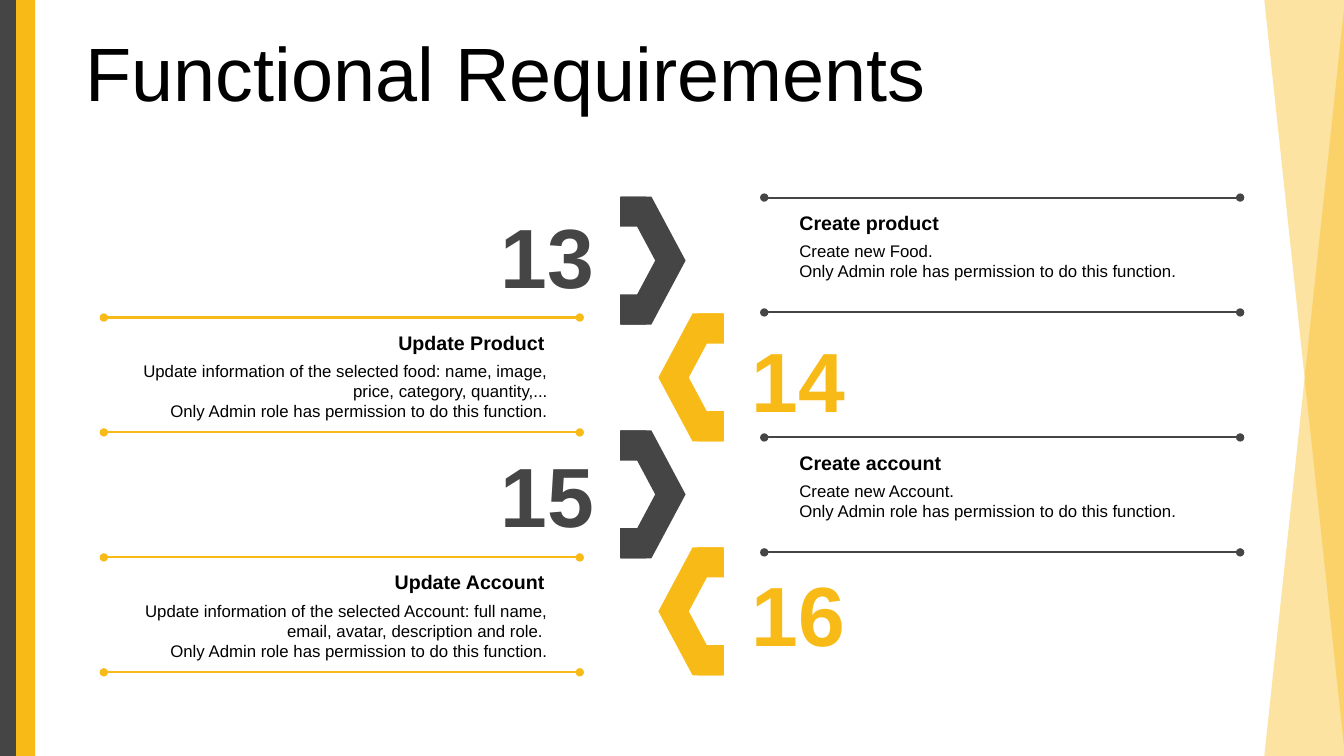
from pptx import Presentation
from pptx.dml.color import RGBColor
from pptx.enum.shapes import MSO_CONNECTOR, MSO_SHAPE
from pptx.enum.text import MSO_ANCHOR, MSO_AUTO_SIZE, PP_ALIGN
from pptx.oxml.ns import qn
from pptx.util import Inches, Pt
from lxml.etree import SubElement

DARK, GOLD, BLACK = "454545", "F8BA16", "000000"


def add_filled(parent, kind, box, color):
    """Add a borderless preset shape to a slide or group."""
    shape = parent.shapes.add_shape(kind, *map(Inches, box))
    shape.shadow.inherit = False
    shape.fill.solid()
    shape.fill.fore_color.rgb = RGBColor.from_string(color)
    shape.line.fill.background()
    return shape


def add_text(parent, box, lines, size, color=BLACK, bold=False, align=PP_ALIGN.LEFT):
    """Add a text box with one paragraph per line and return its text frame."""
    frame = parent.shapes.add_textbox(*map(Inches, box)).text_frame
    frame.word_wrap = True
    for index, line in enumerate(lines):
        paragraph = frame.add_paragraph() if index else frame.paragraphs[0]
        paragraph.alignment = align
        run = paragraph.add_run()
        run.text = line
        run.font.name = "Arial"
        run.font.size = Pt(size)
        run.font.bold = bold
        run.font.color.rgb = RGBColor.from_string(color)
    return frame


presentation = Presentation()
presentation.slide_width = Inches(13.33)
presentation.slide_height = Inches(7.5)
slide = presentation.slides.add_slide(presentation.slide_layouts[6])

# Side decoration
for left, color in ((0, DARK), (0.16, GOLD)):
    add_filled(slide, MSO_SHAPE.RECTANGLE, (left, 0, 0.19, 7.5), color)
for flips in (("flipH", "flipV"), ("flipH",)):
    triangle = add_filled(slide, MSO_SHAPE.RIGHT_TRIANGLE, (12.54, 0, 0.8, 7.5), GOLD)
    for flip in flips:
        triangle._element.spPr.find(qn("a:xfrm")).set(flip, "1")
    fill_color = triangle._element.spPr.find(qn("a:solidFill"))[0]
    SubElement(fill_color, qn("a:alpha")).set("val", "40000")

title = add_text(slide, (0.75, 0.37, 12.26, 0.79), ["Functional Requirements"], 54)
title.vertical_anchor = MSO_ANCHOR.MIDDLE
title.paragraphs[0].line_spacing = 0.9

# Number, top of the number, heading, description
ADMIN_ONLY = "Only Admin role has permission to do this function."
requirements = [
    ("13", 1.98, "Create product", "Create new Food."),
    ("14", 3.21, "Update Product",
     "Update information of the selected food: name, image, price, category, quantity,..."),
    ("15", 4.35, "Create account", "Create new Account."),
    ("16", 5.53, "Update Account",
     "Update information of the selected Account: full name, email, avatar, "
     "description and role. "),
]

for row, (number, number_top, heading, description) in enumerate(requirements):
    text_on_right = row % 2 == 0
    if text_on_right:
        color, align = DARK, PP_ALIGN.LEFT
        chevron_left, block_left, number_left = 6.16, 6.15, 4.86
        line_left, text_left = 7.58, 7.83
    else:
        color, align = GOLD, PP_ALIGN.RIGHT
        chevron_left, block_left, number_left = 6.53, 6.92, 7.35
        line_left, text_left = 1.03, 1.14

    bracket_top = 1.95 + 1.16 * row
    bracket = slide.shapes.add_group_shape()
    chevron = add_filled(bracket, MSO_SHAPE.CHEVRON,
                         (chevron_left, bracket_top, 0.64, 1.27), color)
    chevron.adjustments[0] = 0.53
    chevron.rotation = 0 if text_on_right else 180
    for offset in (0, 0.97):
        add_filled(bracket, MSO_SHAPE.RECTANGLE,
                   (block_left, bracket_top + offset, 0.26, 0.3), color)

    add_text(slide, (number_left, number_top, 1.14, 1.11), [number], 60,
             color, True, PP_ALIGN.CENTER).auto_size = MSO_AUTO_SIZE.SHAPE_TO_FIT_TEXT

    row_top = 1.96 + 1.19 * row
    add_text(slide, (text_left, row_top + 0.38, 4.39, 0.5 if text_on_right else 0.71),
             [description, ADMIN_ONLY], 12, align=align)
    add_text(slide, (text_left, row_top + 0.08, 4.36, 0.34), [heading], 14,
             bold=True, align=align)

    for line_top in (row_top, row_top + 1.14):
        line = slide.shapes.add_connector(
            MSO_CONNECTOR.STRAIGHT, Inches(line_left), Inches(line_top),
            Inches(line_left + 4.72), Inches(line_top))
        line.line.color.rgb = RGBColor.from_string(color)
        line.line.width = Pt(1.5)
        for end in ("a:headEnd", "a:tailEnd"):
            SubElement(line.line._get_or_add_ln(), qn(end)).set("type", "oval")
        SubElement(line._element.spPr, qn("a:effectLst"))

presentation.save("out.pptx")
